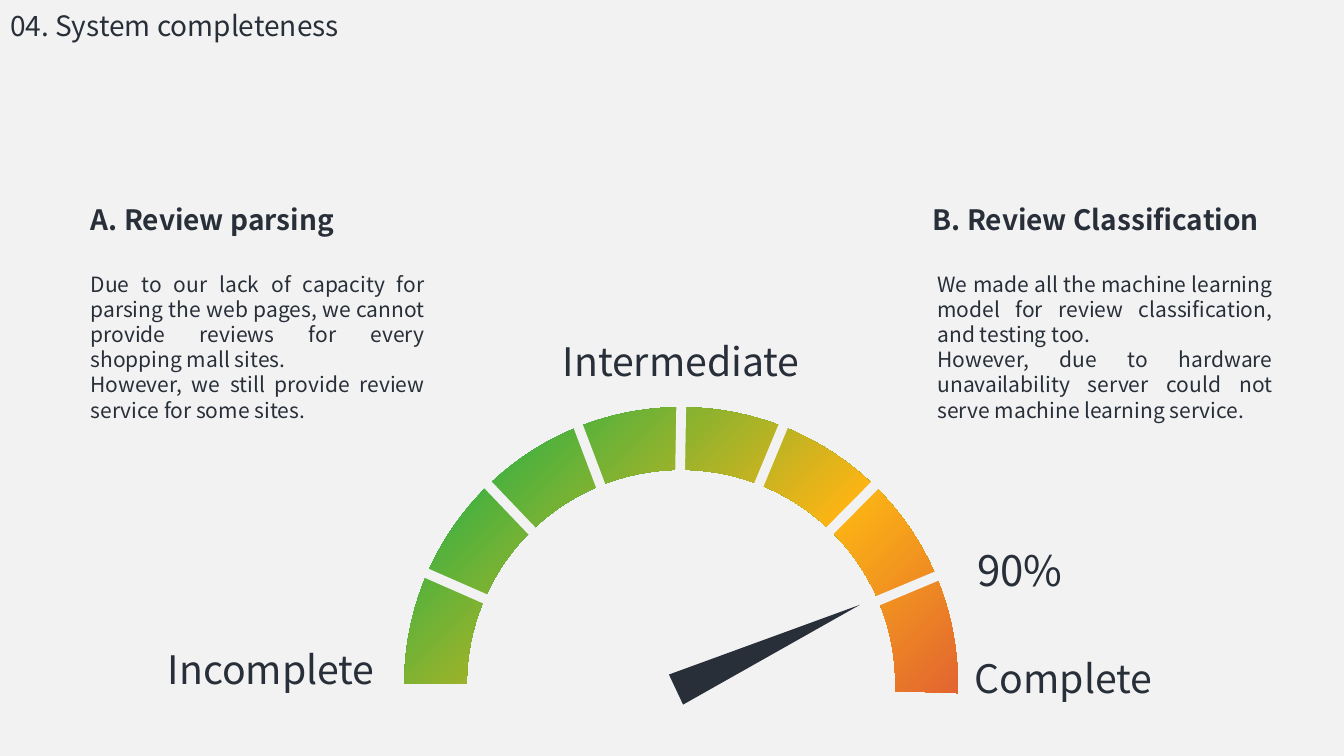
from dataclasses import dataclass

from lxml.etree import SubElement
from pptx import Presentation
from pptx.dml.color import RGBColor
from pptx.enum.shapes import MSO_CONNECTOR, MSO_SHAPE
from pptx.enum.text import MSO_ANCHOR, MSO_AUTO_SIZE, PP_ALIGN
from pptx.oxml import parse_xml
from pptx.oxml.ns import nsdecls, qn
from pptx.slide import Slide
from pptx.text.text import TextFrame
from pptx.util import Inches, Pt

COLORS = {
    "background": "F2F2F2",
    "ink": "282F39",
    "red": "CB1B4A",
    "amber": "FCB414",
    "green": "00B050",
}
FONT = "Noto Sans CJK KR"


@dataclass(frozen=True)
class Label:
    left: float
    top: float
    width: float
    height: float
    size: int
    paragraphs: tuple[str, ...]
    align: PP_ALIGN = PP_ALIGN.CENTER
    bold: bool = False


@dataclass(frozen=True)
class Divider:
    start_x: float
    start_y: float
    end_x: float
    end_y: float


LABELS = (
    Label(5.36, 3.3, 2.79, 0.57, 28, ("Intermediate",)),
    Label(1.42, 6.35, 2.54, 0.57, 28, ("Incomplete",)),
    Label(9.47, 6.44, 2.16, 0.57, 28, ("Complete",)),
    Label(9.2, 2.64, 3.52, 1.62, 15, (
        "We made all the machine learning model for review classification, and testing too.",
        "However, due to hardware unavailability server could not serve machine learning service.",
    ), PP_ALIGN.JUSTIFY),
    Label(9.15, 1.96, 3.81, 0.44, 20, ("B. Review Classification",), PP_ALIGN.JUSTIFY, True),
    Label(9.53, 5.35, 1.17, 0.61, 30, ("90%",)),
    Label(0.8, 2.64, 3.51, 1.62, 15, (
        "Due to our lack of capacity for parsing the web pages, we cannot provide reviews "
        "for every shopping mall sites.",
        "However, we still provide review service for some sites.",
    ), PP_ALIGN.JUSTIFY),
    Label(0.8, 1.96, 3.81, 0.44, 20, ("A. Review parsing",), PP_ALIGN.JUSTIFY, True),
)

DIVIDERS = (
    Divider(6.7, 6.8, 7.85, 4.03),
    Divider(6.7, 6.79, 5.66, 4.03),
    Divider(6.71, 6.77, 6.76, 3.83),
    Divider(6.71, 6.77, 4.62, 4.58),
    Divider(6.7, 6.8, 9.47, 5.64),
    Divider(6.7, 6.81, 8.8, 4.69),
    Divider(6.7, 6.77, 4.01, 5.59),
)


def color(name: str) -> RGBColor:
    return RGBColor.from_string(COLORS[name])


def write_text(frame: TextFrame, label: Label) -> None:
    frame.word_wrap = True
    frame.auto_size = MSO_AUTO_SIZE.SHAPE_TO_FIT_TEXT
    for index, text in enumerate(label.paragraphs):
        paragraph = frame.add_paragraph() if index else frame.paragraphs[0]
        paragraph.alignment = label.align
        run = paragraph.add_run()
        run.text = text
        run.font.name = FONT
        run.font.size = Pt(label.size)
        run.font.bold = label.bold
        run.font.color.rgb = color("ink")
        SubElement(run.font._element, qn("a:ea"), typeface=FONT)


def add_title(slide: Slide) -> None:
    heading = Label(0.1, 0.08, 4.56, 0.34, 20, ("04. System completeness",), PP_ALIGN.LEFT)
    title = slide.shapes.title
    title.left, title.top = Inches(heading.left), Inches(heading.top)
    title.width, title.height = Inches(heading.width), Inches(heading.height)
    frame = title.text_frame
    frame.margin_left = frame.margin_right = frame.margin_top = frame.margin_bottom = 0
    frame.vertical_anchor = MSO_ANCHOR.TOP
    write_text(frame, heading)


def add_label(slide: Slide, label: Label) -> None:
    box = slide.shapes.add_textbox(
        Inches(label.left), Inches(label.top), Inches(label.width), Inches(label.height)
    )
    write_text(box.text_frame, label)


def add_gauge(slide: Slide) -> None:
    gauge = slide.shapes.add_shape(
        MSO_SHAPE.BLOCK_ARC, Inches(4.01), Inches(4.04), Inches(5.49), Inches(5.49)
    )
    for index, value in enumerate((108, 1.133, 0.113)):
        gauge.adjustments[index] = value
    gauge.shadow.inherit = False
    gauge.line.fill.background()
    gauge.fill.background()
    stops = "".join(
        f'<a:gs pos="{position * 1000}"><a:srgbClr val="{COLORS[name]}"/></a:gs>'
        for position, name in ((0, "red"), (51, "amber"), (100, "green"))
    )
    gradient = parse_xml(
        f'<a:gradFill {nsdecls("a")} rotWithShape="1"><a:gsLst>{stops}</a:gsLst>'
        '<a:path path="circle"><a:fillToRect l="100000" t="100000"/></a:path>'
        '<a:tileRect r="-100000" b="-100000"/></a:gradFill>'
    )
    properties = gauge._element.spPr
    properties.replace(properties.find(qn("a:noFill")), gradient)


def add_divider(slide: Slide, divider: Divider) -> None:
    line = slide.shapes.add_connector(
        MSO_CONNECTOR.STRAIGHT,
        Inches(divider.start_x), Inches(divider.start_y),
        Inches(divider.end_x), Inches(divider.end_y),
    )
    line.line.color.rgb = color("background")
    line.line.width = Pt(7)
    SubElement(line._element.spPr, qn("a:effectLst"))


def add_needle(slide: Slide) -> None:
    needle = slide.shapes.add_shape(
        MSO_SHAPE.ISOSCELES_TRIANGLE, Inches(7.45), Inches(5.41), Inches(0.33), Inches(2.01)
    )
    needle.adjustments[0] = 0.538
    needle.rotation = 64.9
    needle.shadow.inherit = False
    needle.fill.solid()
    needle.fill.fore_color.rgb = color("ink")
    needle.line.fill.background()


def main() -> None:
    presentation = Presentation()
    presentation.slide_width = Inches(13.33)
    presentation.slide_height = Inches(7.5)
    slide = presentation.slides.add_slide(presentation.slide_layouts.get_by_name("Title Only"))
    slide.background.fill.solid()
    slide.background.fill.fore_color.rgb = color("background")
    add_title(slide)
    add_gauge(slide)
    for divider in DIVIDERS:
        add_divider(slide, divider)
    add_needle(slide)
    for label in LABELS:
        add_label(slide, label)
    presentation.save("out.pptx")


if __name__ == "__main__":
    main()
